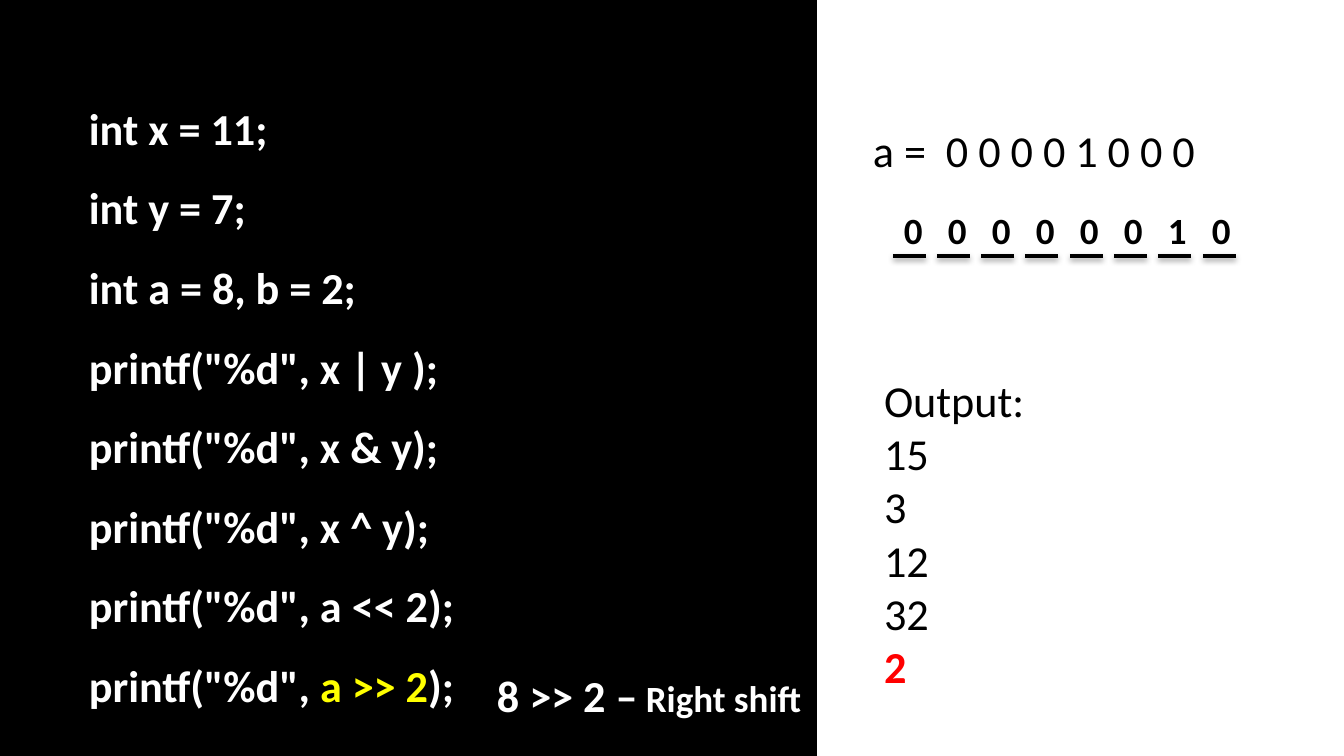
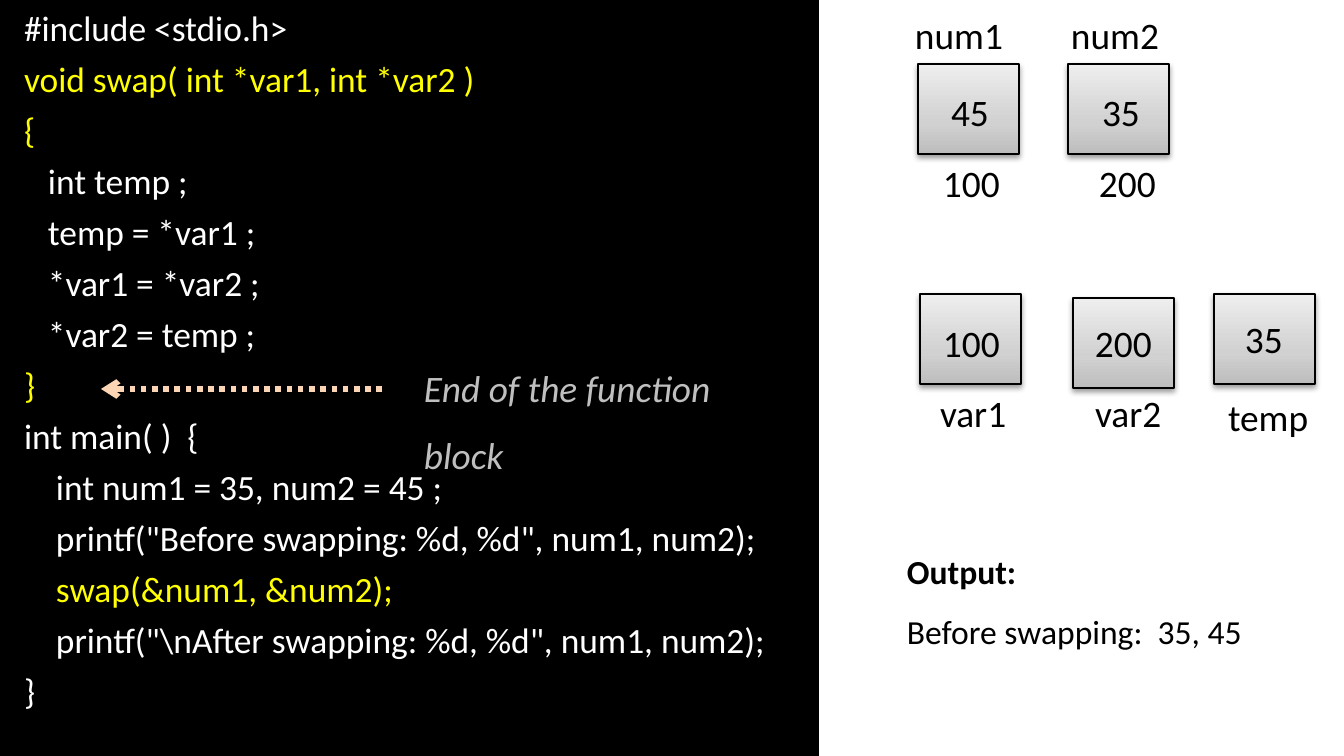
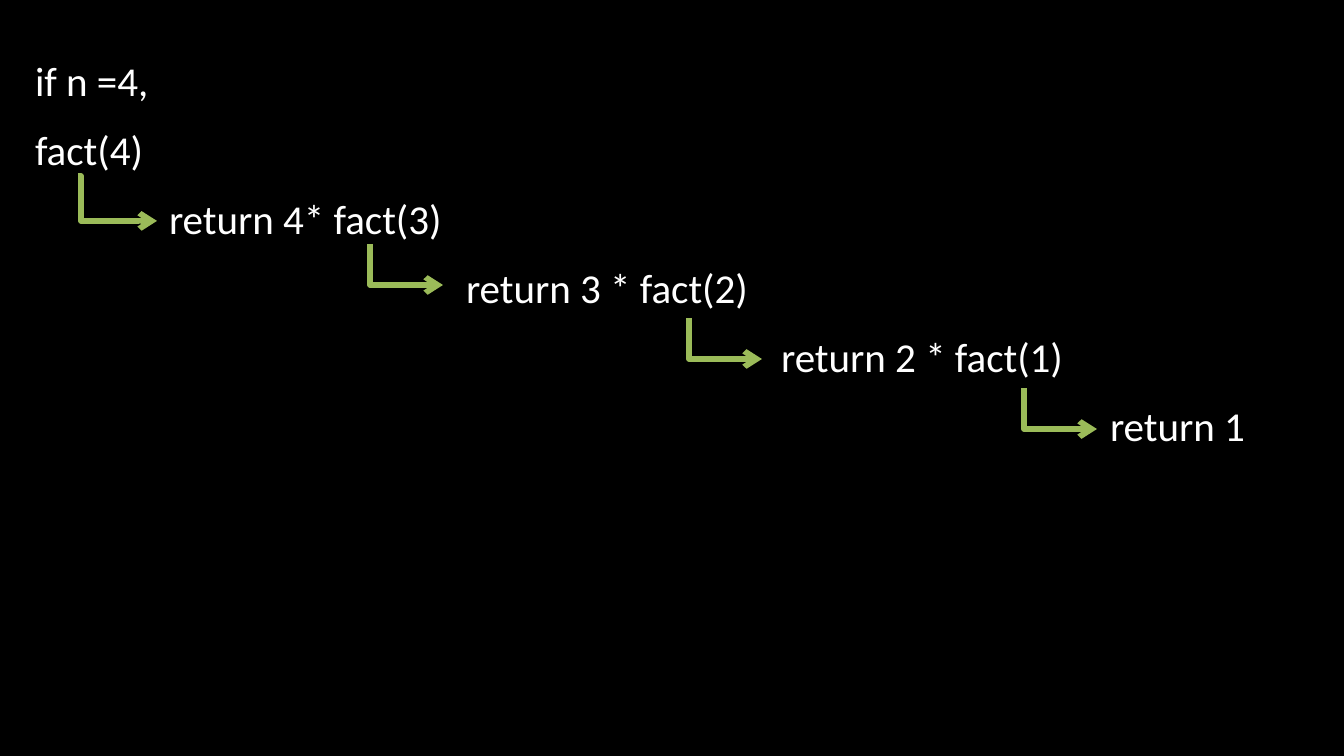
from pptx import Presentation
from pptx import util as u
from pptx.dml.color import RGBColor
from pptx.enum import dml, shapes, text
from pptx.oxml.ns import qn
from lxml import etree


class Theme:
    font = "Calibri"
    black, white = "000000", "FFFFFF"
    yellow, red = "FFFF00", "FF0000"
    peach, green, gray = "FCD5B5", "9BBB59", "BFBFBF"
    shades = ((0, "BDBDBD"), (35, "D1D1D1"), (100, "EEEEEE"))
    big, mid, code, note, body, calls = 23.7, 19.8, 19, 20, 18, 22


# Content: a paragraph is a string or a list of (text, style) runs
HOT = {"color": Theme.yellow}

BITWISE = [
    "int x = 11;",
    "int y = 7;",
    "int a = 8, b = 2;",
    'printf("%d", x | y );',
    'printf("%d", x & y);',
    'printf("%d", x ^ y);',
    'printf("%d", a << 2);',
    [('printf("%d", ', {}), ("a >> 2", HOT), (");", {})],
]
RESULTS = ["Output:", "15", "3", "12", "32",
           [("2", {"color": Theme.red, "bold": True})]]
SHIFT = [[("8 >> 2 –", {}), (" Right shift", {"size": Theme.mid})]]
BITS = [(883, 62, "0"), (927, 54, "0"), (971, 298, "000010")]  # left, width, digits

SWAP = [
    "#include <stdio.h>",
    [("void swap( int *var1, int *var2 )", HOT)],
    [("{", HOT)],
    "   int temp ;",
    "   temp = *var1 ;",
    "   *var1 = *var2 ;",
    "   *var2 = temp ;",
    [("}", HOT)],
    "int main( )  {",
    "    int num1 = 35, num2 = 45 ;",
    '    printf("Before swapping: %d, %d", num1, num2);',
    [("    swap(&num1, &num2);", HOT)],
    '    printf("\\nAfter swapping: %d, %d", num1, num2);',
    "}",
]
CELLS = [(918, 64), (1068, 64), (920, 294), (1073, 298), (1214, 294)]
LABELS = [  # left, top, width, text
    (938, 83, 68, "45"), (1089, 83, 68, "35"),
    (902, 6, 118, "num1"), (1058, 6, 118, "num2"),
    (930, 154, 87, "100"), (1086, 154, 87, "200"),
    (930, 314, 87, "100"), (1082, 314, 87, "200"),
    (927, 384, 97, "var1"), (1082, 384, 97, "var2"),
    (1215, 388, 112, "temp"), (1232, 310, 68, "35"),
]

CALLS = [  # indent, text
    (0, "if n =4,"), (0, "fact(4)"), (134, "return 4* fact(3)"),
    (431, "return 3 * fact(2)"), (746, "return 2 * fact(1)"),
    (1075, "return 1"),
]
STEPS = [  # left, top, width, height, bend
    (78, 176, 79, 45, 3700), (370, 244, 73, 41, 0),
    (689, 318, 73, 41, 0), (1024, 388, 73, 41, 0),
]


def px(n):
    return u.Emu(round(n * 914400 / 134.4))


def rgb(code):
    return RGBColor.from_string(code)


def sub(node, tag, **attrs):
    return etree.SubElement(node, qn(tag), {k: str(v) for k, v in attrs.items()})


def style(font, size=None, color=None, bold=None, italic=None):
    if size:
        font.size = u.Pt(size)
    if color:
        font.color.rgb = rgb(color)
    if bold is not None:
        font.bold = bold
    if italic is not None:
        font.italic = italic


def write(slide, box, paras, size, color=Theme.black, bold=False, italic=False,
          gap=None, inset=13, indents=(), tabs=()):
    shape = slide.shapes.add_textbox(*map(px, box))
    frame = shape.text_frame
    frame.word_wrap = True
    frame.auto_size = text.MSO_AUTO_SIZE.SHAPE_TO_FIT_TEXT
    frame.margin_left = px(inset)
    for i, runs in enumerate(paras):
        para = frame.add_paragraph() if i else frame.paragraphs[0]
        props = para._p.get_or_add_pPr()
        if indents:
            props.set("marL", str(px(indents[i])))
            props.set("indent", "0")
        if tabs:
            stops = sub(props, "a:tabLst")
            for stop in tabs:
                sub(stops, "a:tab", pos=px(stop), algn="l")
        if gap:
            para.line_spacing = gap
        para.font.name = Theme.font
        style(para.font, size, color, bold, italic)
        for words, extra in [(runs, {})] if isinstance(runs, str) else runs:
            run = para.add_run()
            run.text = words
            style(run.font, **extra)
    return frame


def shade(shape, alpha=38, dist=1.6):
    effects = sub(shape._element.spPr, "a:effectLst")
    shadow = sub(effects, "a:outerShdw", blurRad=u.Pt(3.1), dist=u.Pt(dist),
                 dir=5400000, rotWithShape=0)
    tint = sub(shadow, "a:srgbClr", val=Theme.black)
    sub(tint, "a:alpha", val=alpha * 1000)


def rect(slide, box, width):
    shape = slide.shapes.add_shape(shapes.MSO_SHAPE.RECTANGLE, *map(px, box))
    shape.line.color.rgb = rgb(Theme.black)
    shape.line.width = u.Pt(width)
    return shape


def panel(slide, left, width):
    shape = rect(slide, (left, 0, width, 756), 2)
    shape.shadow.inherit = False
    shape.fill.solid()
    shape.fill.fore_color.rgb = rgb(Theme.black)


def cell(slide, left, top):
    shape = rect(slide, (left, top, 101, 90), 0.75)
    shape.fill.gradient()
    shape.fill.gradient_angle = 90
    stops = shape._element.spPr.find(".//" + qn("a:gsLst"))
    stops.clear()
    for pos, color in Theme.shades:
        sub(sub(stops, "a:gs", pos=pos * 1000), "a:srgbClr", val=color)
    shade(shape)


def link(slide, kind, ends, color, width):
    line = slide.shapes.add_connector(kind, *map(px, ends))
    line.line.color.rgb = rgb(color)
    line.line.width = u.Pt(width)
    return line


def arrow(slide, kind, ends, color, dash=None):
    line = link(slide, kind, ends, color, 3)
    if dash:
        line.line.dash_style = dash
    sub(line._element.spPr.find(qn("a:ln")), "a:tailEnd", type="arrow")
    shade(line, 35, 1.8)
    return line


def bitwise(slide):
    panel(slide, -3, 818)
    write(slide, (871, 367, 353, 335), RESULTS, Theme.big)
    write(slide, (76, 68, 563, 656), BITWISE, Theme.big, Theme.white, True, gap=1.5)
    write(slide, (860, 90, 398, 94), ["a =  0 0 0 0 1 0 0 0"], Theme.big, gap=1.5)
    write(slide, (484, 635, 343, 94), SHIFT, Theme.big, Theme.white, True, gap=1.5)
    # Underlines with the shifted bits above them
    for i in range(8):
        left = 893 + i * 310 // 7
        shade(link(slide, shapes.MSO_CONNECTOR.STRAIGHT,
                   (left, 256, left + 33, 256), Theme.black, 2))
    for left, width, bits in BITS:
        write(slide, (left, 201, width, 58), ["\t".join(bits)], Theme.mid, bold=True,
              inset=21, tabs=[44 * k for k in range(1, len(bits))])


def swap(slide):
    panel(slide, 0, 817)
    write(slide, (11, -9, 824, 735), SWAP, Theme.code, Theme.white, gap=1.2)
    # Memory cells
    for spot in CELLS:
        cell(slide, *spot)
    for left, top, width, words in LABELS:
        write(slide, (left, top, width, 59), [words], Theme.note)
    # Output and the current step
    frame = write(slide, (894, 544, 374, 116),
                  [[("Output:", {"bold": True})], "Before swapping:  35, 45"], Theme.body)
    frame.paragraphs[1].line_spacing = 1.5
    arrow(slide, shapes.MSO_CONNECTOR.STRAIGHT, (382, 389, 101, 389),
          Theme.peach, dml.MSO_LINE.ROUND_DOT)
    write(slide, (411, 336, 396, 81), ["End of the function block"], Theme.note,
          Theme.gray, italic=True, gap=1.5)


def recursion(slide):
    slide.background.fill.solid()
    slide.background.fill.fore_color.rgb = rgb(Theme.black)
    indents, lines = zip(*CALLS)
    write(slide, (22, 29, 1240, 431), lines, Theme.calls, Theme.white,
          gap=1.4, indents=indents)
    for left, top, width, height, bend in STEPS:
        step = arrow(slide, shapes.MSO_CONNECTOR.ELBOW,
                     (left, top, left + width, top + height), Theme.green)
        shape = step._element.spPr.find(qn("a:prstGeom"))
        guides = shape.find(qn("a:avLst"))
        if guides is None:
            guides = sub(shape, "a:avLst")
        sub(guides, "a:gd", name="adj1", fmla=f"val {bend}")


def main():
    deck = Presentation()
    deck.slide_width, deck.slide_height = px(1344), px(756)
    for draw in (bitwise, swap, recursion):
        draw(deck.slides.add_slide(deck.slide_layouts[6]))
    deck.save("out.pptx")


if __name__ == "__main__":
    main()
